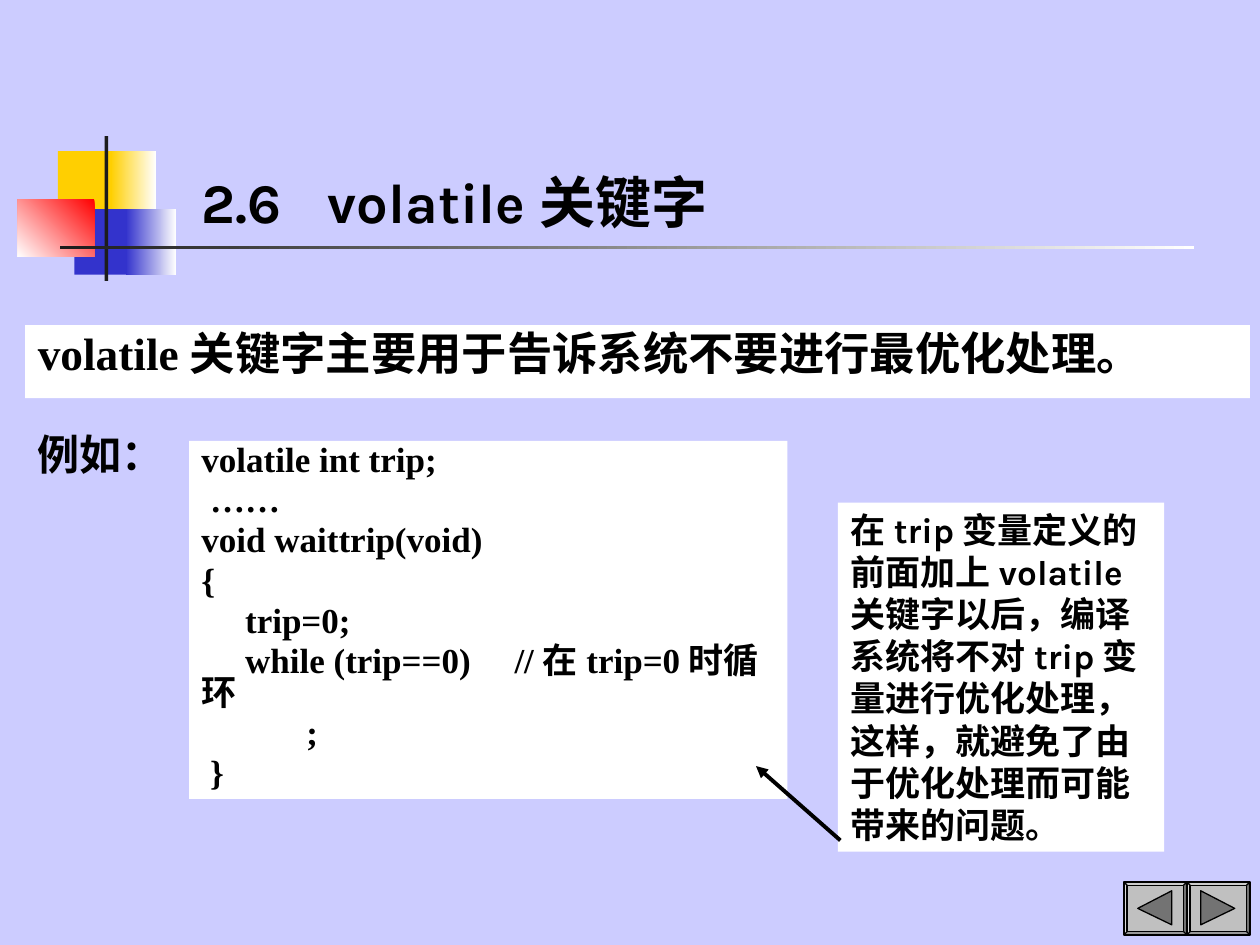
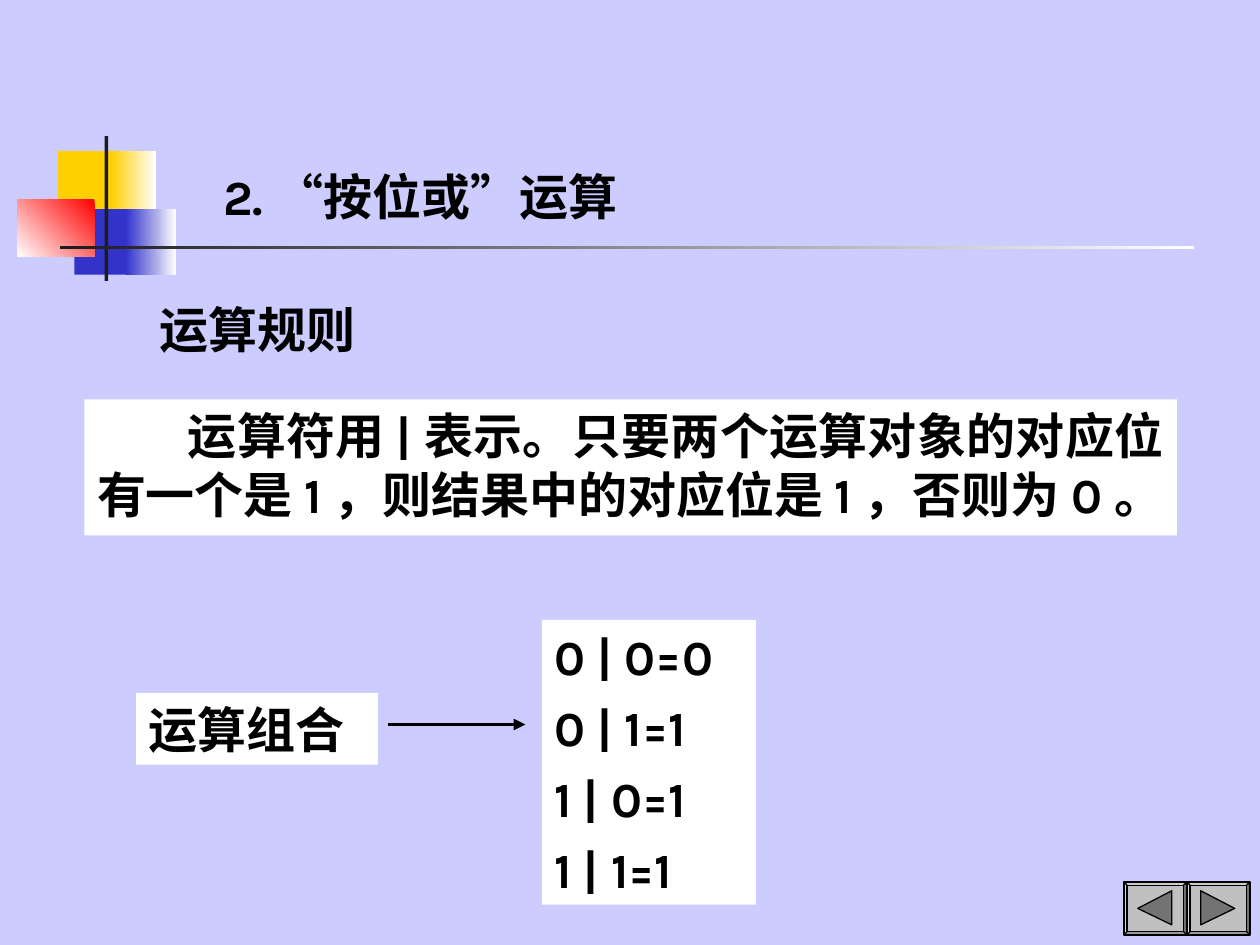
"""Build two C-language lesson slides: the volatile keyword and bitwise OR."""
from itertools import groupby

from lxml import etree
from pptx import Presentation
from pptx.dml.color import RGBColor
from pptx.enum import shapes, text
from pptx.oxml import ns
from pptx.util import Inches, Pt

COLORS = {"back": "CCCCFF", "white": "FFFFFF", "ink": "000000", "yellow": "FFCF01",
          "blue": "3333CC", "red": "FF0000", "bar": "1C1C1C", "button": "C0C0C0",
          "triangle": "737373"}
CJK, SANS, SERIF = "Noto Sans CJK SC", "Karla", "Times New Roman"

ORNAMENT = [
    ((0.46, 1.2, 0.48, 0.52), ["yellow"], 0),
    ((0.88, 1.2, 0.36, 0.52), ["white", "yellow"], 180),
    ((0.59, 1.66, 0.46, 0.52), ["blue"], 0),
    ((1, 1.66, 0.4, 0.52), ["white", "blue"], 180),
    ((0.14, 1.58, 0.61, 0.46), ["red", "white"], 225),
    ((0.83, 1.08, 0.03, 1.15), ["bar"], 0),
    ((0.48, 1.95, 9, 0.03), ["white", "bar"], 180),
]
BUTTONS = [
    (9.42, [(0.11, 0.07), (0.38, 0.21), (0.11, 0.34)]),
    (8.92, [(0.11, 0.21), (0.38, 0.07), (0.38, 0.34)]),
]
CODE = """volatile int trip;
 ……
void waittrip(void)
{
     trip=0;
     while (trip==0)     //在trip=0时循环
            ;
 }"""
NOTE = ("在trip变量定义的前面加上volatile关键字以后，编译系统将不对trip变量进行优化处理，"
        "这样，就避免了由于优化处理而可能带来的问题。")
RULE = "运算符用|表示。只要两个运算对象的对应位有一个是1，则结果中的对应位是1，否则为0。"

SLIDES = [
    {"title": dict(at=(1.5, 1.07, 4.33, 0.84), words="2.6\tvolatile关键字", size=32, tab=0.97),
     "body": dict(at=(0.2, 2.58, 9.72, 0.58), size=25.9, face=SERIF, fill="white",
                  words="volatile关键字主要用于告诉系统不要进行最优化处理。",
                  para={"line_spacing": 0.9}),
     "boxes": [
         dict(at=(1.5, 3.5, 4.75, 2.84), words=CODE, size=20, face=SERIF, fill="white",
              gap=5, para={"line_spacing": 0.75}),
         dict(at=(0.2, 3.35, 1.22, 0.5), words="例如：", size=24),
         dict(at=(6.65, 3.99, 2.59, 2.77), words=NOTE, size=20, fill="white")],
     "arrow": (6.67, 6.67, 6, 6.08)},
    {"title": dict(at=(1.67, 1.17, 3.58, 0.67), words="2.“按位或”运算", size=28),
     "body": dict(at=(0.67, 3.17, 8.67, 1.08), words=RULE, size=28, fill="white",
                  indent=0.72, para={"alignment": text.PP_ALIGN.JUSTIFY}),
     "boxes": [
         dict(at=(1.17, 2.33, 1.75, 0.57), words="运算规则", size=28, wrap=False),
         dict(at=(1.08, 5.5, 1.92, 0.57), words="运算组合", size=28, fill="white"),
         dict(at=(4.3, 4.92, 1.7, 2.26), words="0 | 0=0\n0 | 1=1\n1 | 0=1\n1 | 1=1",
              size=28, fill="white", gap=7)],
     "arrow": (3.08, 5.75, 4.17, 5.75)},
]


def rgb(name):
    return RGBColor.from_string(COLORS[name])


def assign(obj, values):
    for name, value in values.items():
        setattr(obj, name, value)


def place(sp, at):
    assign(sp, dict(zip(("left", "top", "width", "height"), map(Inches, at))))


def paint(sp, fill, line=None):
    sp.shadow.inherit = False
    sp.fill.solid()
    sp.fill.fore_color.rgb = rgb(fill)
    if line:
        sp.line.color.rgb = rgb(line)
        sp.line.width = Pt(0.75)
    else:
        sp.line.fill.background()


def is_latin(char):
    return char.isascii() or char == "…"


def write(sp, words, size, face=SANS, fill=None, gap=0, indent=0, tab=None, para=None,
          wrap=True, anchor=text.MSO_ANCHOR.TOP):
    if fill:
        sp.fill.solid()
        sp.fill.fore_color.rgb = rgb(fill)
    tf = sp.text_frame
    assign(tf, {"word_wrap": wrap, "auto_size": text.MSO_AUTO_SIZE.NONE,
                "vertical_anchor": anchor})
    for i, line in enumerate(words.split("\n")):
        p = tf.add_paragraph() if i else tf.paragraphs[0]
        props = p._p.get_or_add_pPr()
        props.set("marL", "0")
        props.set("indent", str(Inches(indent)))
        etree.SubElement(props, ns.qn("a:buNone"))
        if tab:
            stops = etree.SubElement(props, ns.qn("a:tabLst"))
            etree.SubElement(stops, ns.qn("a:tab"), pos=str(Inches(tab)), algn="l")
        assign(p, {"alignment": text.PP_ALIGN.LEFT, "line_spacing": 1.0,
                   "space_before": Pt(gap if i else 0), **(para or {})})
        for latin, chars in groupby(line, is_latin):
            r = p.add_run()
            r.text = "".join(chars)
            name = face if latin else CJK
            assign(r.font, {"size": Pt(size), "bold": True, "name": name})
            r.font.color.rgb = rgb("ink")
            etree.SubElement(r.font._element, ns.qn("a:ea"), typeface=name)


def add_ornament(s, layout):
    for at, colors, angle in ORNAMENT:
        sp = s.shapes.add_shape(shapes.MSO_SHAPE.RECTANGLE, *map(Inches, at))
        paint(sp, colors[0])
        if len(colors) > 1:
            sp.fill.gradient()
            sp.fill.gradient_angle = angle
            for stop, color in zip(sp.fill.gradient_stops, colors):
                stop.color.rgb = rgb(color)
        layout.shapes.element.append(sp.element)


def add_buttons(s):
    top = 7
    for left, points in BUTTONS:
        sp = s.shapes.add_shape(shapes.MSO_SHAPE.BEVEL, *map(Inches, (left, top, 0.5, 0.42)))
        sp.adjustments[0] = 0.06
        paint(sp, "button", "ink")
        corners = [(Inches(left + x), Inches(top + y)) for x, y in points]
        outline = s.shapes.build_freeform(*corners[0])
        outline.add_line_segments(corners[1:])
        paint(outline.convert_to_shape(), "triangle", "ink")


def add_arrow(s, ends):
    arrow = s.shapes.add_connector(shapes.MSO_CONNECTOR.STRAIGHT, *map(Inches, ends))
    arrow.line.color.rgb = rgb("ink")
    arrow.line.width = Pt(2.25)
    etree.SubElement(arrow.line._get_or_add_ln(), ns.qn("a:tailEnd"), type="triangle")
    etree.SubElement(arrow.element.spPr, ns.qn("a:effectLst"))


def add_slide(prs, layout, content):
    s = prs.slides.add_slide(layout)
    for sp, key, anchor in zip(s.placeholders, ("title", "body"),
                               (text.MSO_ANCHOR.BOTTOM, text.MSO_ANCHOR.TOP)):
        spec_values = dict(content[key])
        place(sp, spec_values.pop("at"))
        write(sp, anchor=anchor, **spec_values)
    for box in content["boxes"]:
        values = dict(box)
        sp = s.shapes.add_textbox(*map(Inches, values.pop("at")))
        write(sp, **values)
    add_arrow(s, content["arrow"])
    add_buttons(s)
    return s


def main():
    prs = Presentation()
    prs.slide_width, prs.slide_height = Inches(10), Inches(7.5)
    layout = prs.slide_layouts[1]
    back = prs.slide_master.background.fill
    back.solid()
    back.fore_color.rgb = rgb("back")
    built = [add_slide(prs, layout, content) for content in SLIDES]
    add_ornament(built[0], layout)
    prs.save("out.pptx")


if __name__ == "__main__":
    main()
